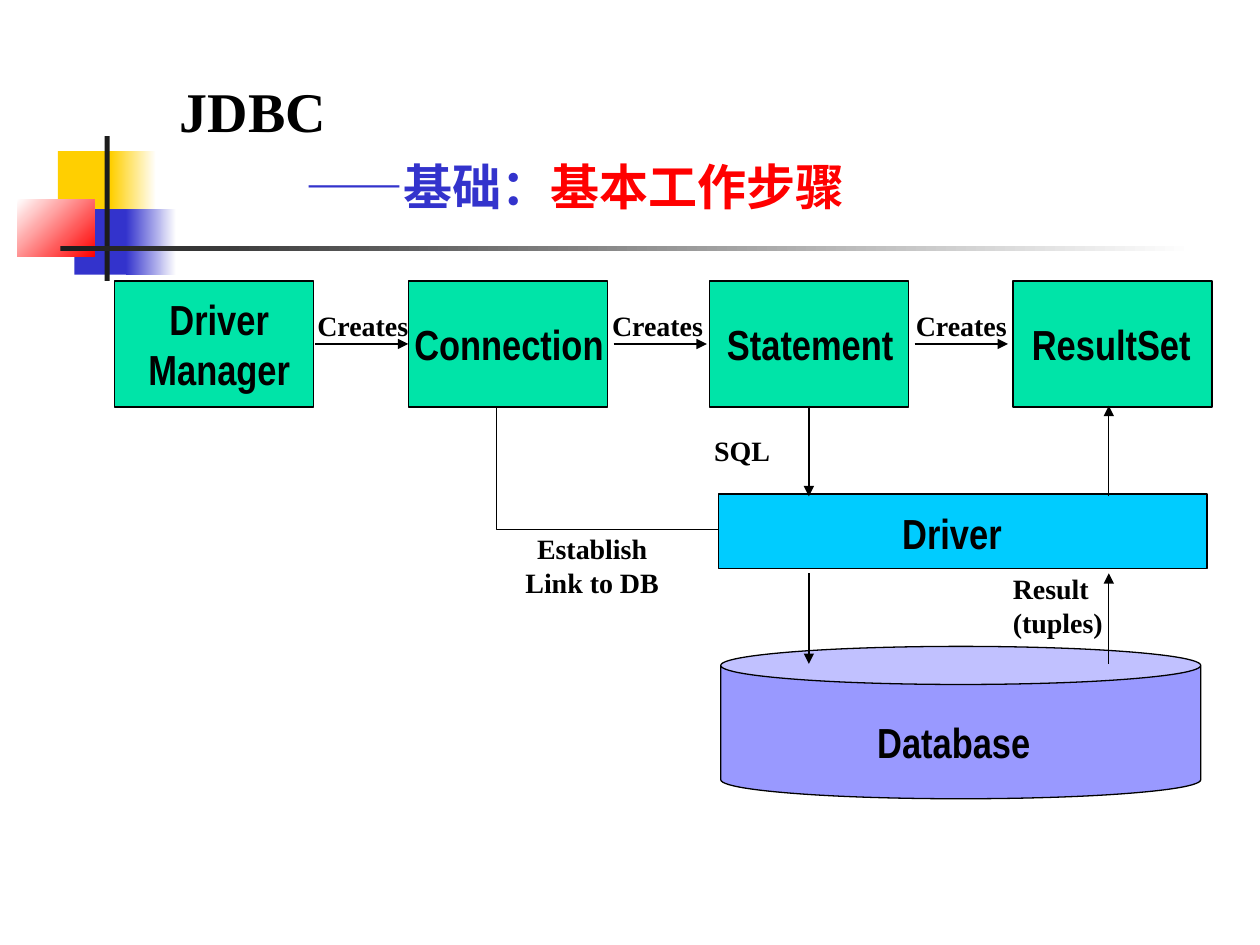
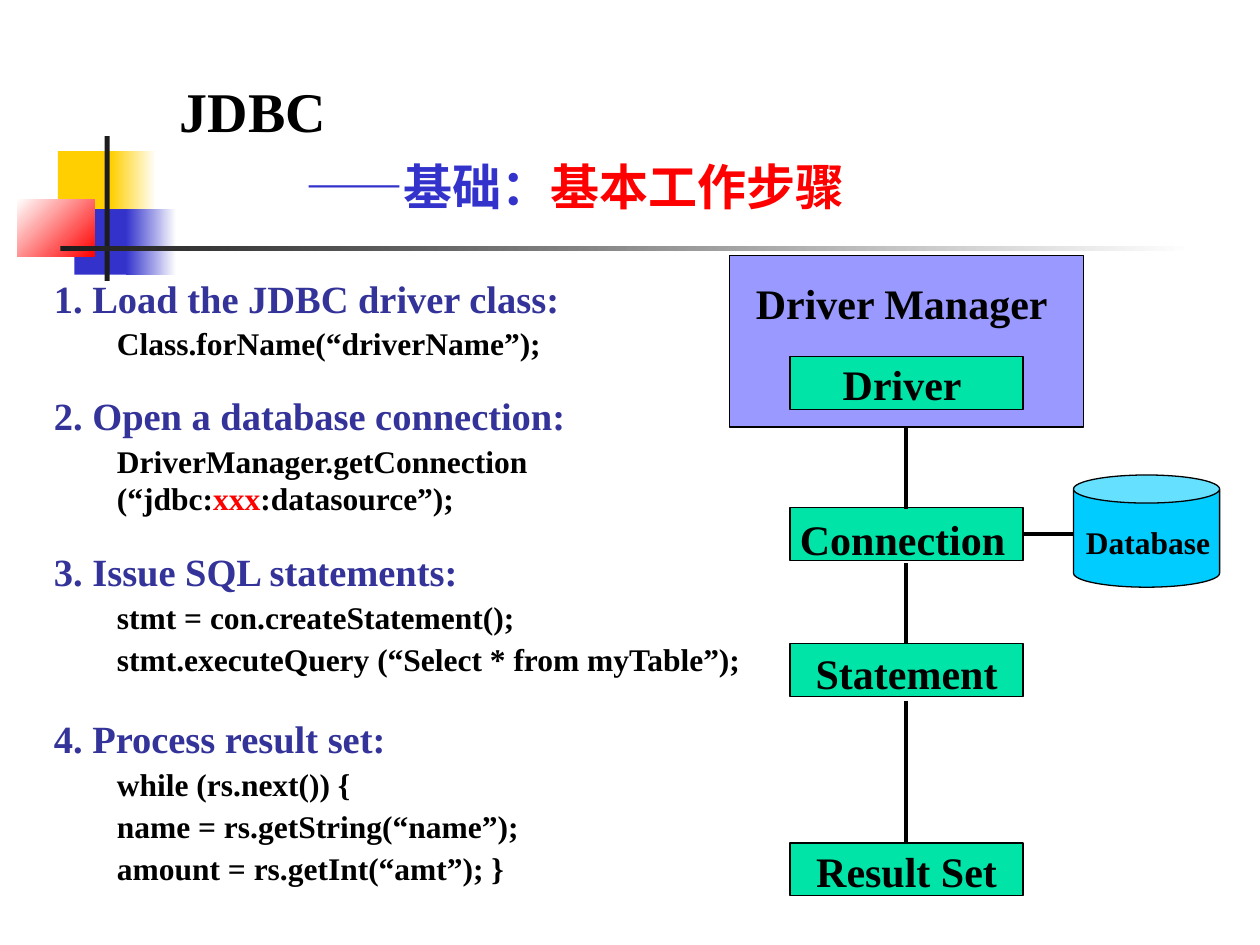
"""Builds two slides on the basic working steps of JDBC."""
from lxml import etree
from pptx import Presentation
from pptx.dml.color import RGBColor
from pptx.enum.shapes import MSO_CONNECTOR, MSO_SHAPE
from pptx.enum.text import MSO_ANCHOR, PP_ALIGN
from pptx.oxml.ns import qn
from pptx.util import Inches, Pt

RECT, CAN, STRAIGHT = MSO_SHAPE.RECTANGLE, MSO_SHAPE.CAN, MSO_CONNECTOR.STRAIGHT
LEFT, CENTER, TOP = PP_ALIGN.LEFT, PP_ALIGN.CENTER, MSO_ANCHOR.TOP

BLACK = RGBColor(0x00, 0x00, 0x00)
WHITE = RGBColor(0xFF, 0xFF, 0xFF)
RED = RGBColor(0xFF, 0x00, 0x00)
YELLOW = RGBColor(0xFF, 0xCF, 0x01)
BLUE = RGBColor(0x33, 0x33, 0xCC)
INDIGO = RGBColor(0x33, 0x33, 0x99)
CHARCOAL = RGBColor(0x1C, 0x1C, 0x1C)
GREEN = RGBColor(0x00, 0xE4, 0xA8)
CYAN = RGBColor(0x00, 0xCC, 0xFF)
LILAC = RGBColor(0x99, 0x99, 0xFF)

SERIF, NARROW = "Times New Roman", "Arial Narrow"
TITLE_BOX = (1.33, 0.56, 7.92, 1.2)
TITLE = [
    {"runs": [("JDBC", BLACK)], "size": 32},
    {"runs": [("——基础：", BLUE), ("基本工作步骤", RED)], "size": 28,
     "before": 7, "indent": 1},
]

BANDS = [
    ((0.46, 1.2, 0.48, 0.52), YELLOW, None, 0),
    ((0.88, 1.2, 0.36, 0.52), YELLOW, WHITE, 0),
    ((0.59, 1.66, 0.46, 0.52), BLUE, None, 0),
    ((1, 1.66, 0.4, 0.52), BLUE, WHITE, 0),
    ((0.14, 1.58, 0.61, 0.46), WHITE, RED, 315),
    ((0.83, 1.08, 0.04, 1.15), CHARCOAL, None, 0),
    ((0.48, 1.95, 9, 0.04), CHARCOAL, WHITE, 0),
]

OBJECTS = [
    (0.91, (0.94, 2.28, 1.6, 0.9), ["Driver", "Manager"]),
    (3.24, (3.19, 2.48, 1.7, 0.5), ["Connection"]),
    (5.63, (5.67, 2.48, 1.52, 0.5), ["Statement"]),
    (8.04, (8.09, 2.48, 1.46, 0.5), ["ResultSet"]),
]
OBJECT_TOP, OBJECT_WIDTH, OBJECT_HEIGHT = 2.23, 1.58, 1
STORES = [
    (RECT, (5.7, 3.92, 3.88, 0.59), CYAN, (7.06, 3.98, 0.99, 0.5), "Driver"),
    (CAN, (5.72, 5.13, 3.81, 1.21), LILAC, (6.86, 5.64, 1.42, 0.5), "Database"),
]
CREATES = [(2.5, 2.42), (4.87, 4.76), (7.26, 7.17)]
CREATES_Y, ARROW_LENGTH = 2.73, 0.74
REQUEST_X, RESULT_X = 6.42, 8.8
FLOW_SPANS = [(3.22, 3.94), (4.55, 5.27)]
LINK = [(3.94, 3.24), (3.94, 4.2), (5.7, 4.2)]
NOTES = [
    ((5.57, 3.39, 0.64, 0.37), ["SQL"], LEFT),
    ((7.94, 4.49, 1.1, 0.63), ["Result", "(tuples)"], LEFT),
    ((4.07, 4.17, 1.26, 0.63), ["Establish", "Link to DB"], CENTER),
]

STEPS_BOX = (0.33, 2.13, 7.14, 4.95)
STEPS = [
    {"heading": "1. Load the JDBC driver class:", "before": 0,
     "code": [[("Class.forName(“driverName”);", BLACK)]]},
    {"heading": "2. Open a database connection:", "before": 17,
     "code": [[("DriverManager.getConnection", BLACK)],
              [("(“jdbc:", BLACK), ("xxx", RED), (":datasource”);", BLACK)]]},
    {"heading": "3. Issue SQL statements:", "before": 17.5, "code_pitch": 23.9,
     "code": [[("stmt = con.createStatement();", BLACK)],
              [("stmt.executeQuery (“Select * from myTable”);", BLACK)]]},
    {"heading": "4. Process result set:", "before": 23.9,
     "heading_pitch": 23.9, "code_pitch": 23.9,
     "code": [[("while (rs.next()) {", BLACK)],
              [("name = rs.getString(“name”);", BLACK)],
              [("amount = rs.getInt(“amt”); }", BLACK)]]},
]

MANAGER_BOX = (5.79, 2.03, 2.81, 1.36)
DATABASE_CAN = (8.52, 3.77, 1.16, 0.89)
CHAIN_LEFT, CHAIN_WIDTH, CHAIN_HEIGHT = 6.27, 1.85, 0.42
CHAIN = [
    (2.83, (6.59, 2.8, 1.2, 0.5), "Driver", LEFT),
    (4.03, (6.25, 4.03, 1.91, 0.5), "Connection", LEFT),
    (5.11, (6.24, 5.09, 1.91, 0.5), "Statement", CENTER),
    (6.69, (6.24, 6.66, 1.91, 0.5), "Result Set", CENTER),
]
CHAIN_LABELS = [
    ((5.9, 2.15, 2.58, 0.5), "Driver Manager", 24),
    ((8.52, 4.1, 1.23, 0.4), "Database", 18),
]
CHAIN_LINKS = [
    ((7.19, 3.39), (7.19, 4.04)), ((7.19, 4.47), (7.19, 5.11)),
    ((7.19, 5.56), (7.19, 6.68)), ((8.12, 4.24), (8.52, 4.24)),
]


def inches(values):
    return [Inches(value) for value in values]


def add_box(slide, kind, place, color):
    box = slide.shapes.add_shape(kind, *inches(place))
    box.shadow.inherit = False
    box.fill.solid()
    box.fill.fore_color.rgb = color
    box.line.color.rgb = BLACK
    box.line.width = Pt(0.75)
    return box


def add_band(slide, place, first, last, angle):
    band = add_box(slide, RECT, place, first)
    band.line.fill.background()
    if last is not None:
        band.fill.gradient()
        band.fill.gradient_angle = angle
        for stop, color in zip(band.fill.gradient_stops, (first, last)):
            stop.color.rgb = color


def add_text(slide, place, paragraphs, font=SERIF, align=LEFT, wrap=True):
    frame = slide.shapes.add_textbox(*inches(place)).text_frame
    frame.word_wrap = wrap
    frame.vertical_anchor = TOP
    for index, entry in enumerate(paragraphs):
        paragraph = frame.add_paragraph() if index else frame.paragraphs[0]
        paragraph.alignment = align
        if entry.get("indent"):
            paragraph._p.get_or_add_pPr().set("marL", str(Inches(entry["indent"])))
        if entry.get("before"):
            paragraph.space_before = Pt(entry["before"])
        if entry.get("pitch"):
            paragraph.line_spacing = Pt(entry["pitch"])
        for words, color in entry["runs"]:
            run = paragraph.add_run()
            run.text = words
            look = {"name": font, "size": Pt(entry["size"]), "bold": True}
            for attribute, value in look.items():
                setattr(run.font, attribute, value)
            run.font.color.rgb = color


def add_label(slide, place, lines, size, **options):
    paragraphs = [{"runs": [(line, BLACK)], "size": size} for line in lines]
    add_text(slide, place, paragraphs, **options)


def add_link(slide, start, end, width=0.75, arrow=False):
    link = slide.shapes.add_connector(STRAIGHT, *inches(start + end))
    link.line.color.rgb = BLACK
    link.line.width = Pt(width)
    if arrow:
        etree.SubElement(link.line._get_or_add_ln(), qn("a:tailEnd"), type="triangle")
    etree.SubElement(link._element.spPr, qn("a:effectLst"))


def add_titled_slide(deck):
    slide = deck.slides.add_slide(deck.slide_layouts[6])
    for band in BANDS:
        add_band(slide, *band)
    add_text(slide, TITLE_BOX, TITLE)
    return slide


def build_flow_slide(deck):
    slide = add_titled_slide(deck)
    for left, label_place, lines in OBJECTS:
        add_box(slide, RECT, (left, OBJECT_TOP, OBJECT_WIDTH, OBJECT_HEIGHT), GREEN)
        add_label(slide, label_place, lines, 24, font=NARROW, align=CENTER, wrap=False)
    for kind, place, color, label_place, label in STORES:
        add_box(slide, kind, place, color)
        add_label(slide, label_place, [label], 24, font=NARROW, align=CENTER, wrap=False)
    for start, label_left in CREATES:
        add_link(slide, (start, CREATES_Y), (start + ARROW_LENGTH, CREATES_Y), arrow=True)
        add_label(slide, (label_left, 2.4, 0.93, 0.37), ["Creates"], 16, wrap=False)
    for upper, lower in FLOW_SPANS:
        add_link(slide, (REQUEST_X, upper), (REQUEST_X, lower), arrow=True)
        add_link(slide, (RESULT_X, lower), (RESULT_X, upper), arrow=True)
    start, *bends = [tuple(inches(point)) for point in LINK]
    builder = slide.shapes.build_freeform(*start)
    builder.add_line_segments(bends, close=False)
    elbow = builder.convert_to_shape()
    elbow.shadow.inherit = False
    elbow.fill.background()
    elbow.line.color.rgb = BLACK
    elbow.line.width = Pt(0.75)
    for place, lines, align in NOTES:
        add_label(slide, place, lines, 16, align=align, wrap=False)


def step_paragraphs():
    paragraphs = []
    for step in STEPS:
        paragraphs.append({"runs": [(step["heading"], INDIGO)], "size": 22,
                           "before": step["before"],
                           "pitch": step.get("heading_pitch")})
        pitch = step.get("code_pitch")
        for index, runs in enumerate(step["code"]):
            before = 0 if index or pitch else 2
            paragraphs.append({"runs": runs, "size": 18, "indent": 0.5,
                               "before": before, "pitch": pitch})
    return paragraphs


def build_steps_slide(deck):
    slide = add_titled_slide(deck)
    add_text(slide, STEPS_BOX, step_paragraphs())
    add_box(slide, RECT, MANAGER_BOX, LILAC)
    for top, label_place, label, align in CHAIN:
        add_box(slide, RECT, (CHAIN_LEFT, top, CHAIN_WIDTH, CHAIN_HEIGHT), GREEN)
        add_label(slide, label_place, [label], 24, align=align)
    add_box(slide, CAN, DATABASE_CAN, CYAN)
    for start, end in CHAIN_LINKS:
        add_link(slide, start, end, width=2.25)
    for place, label, size in CHAIN_LABELS:
        add_label(slide, place, [label], size)


def main():
    deck = Presentation()
    deck.slide_width, deck.slide_height = Inches(10), Inches(7.5)
    build_flow_slide(deck)
    build_steps_slide(deck)
    deck.save("out.pptx")


if __name__ == "__main__":
    main()
